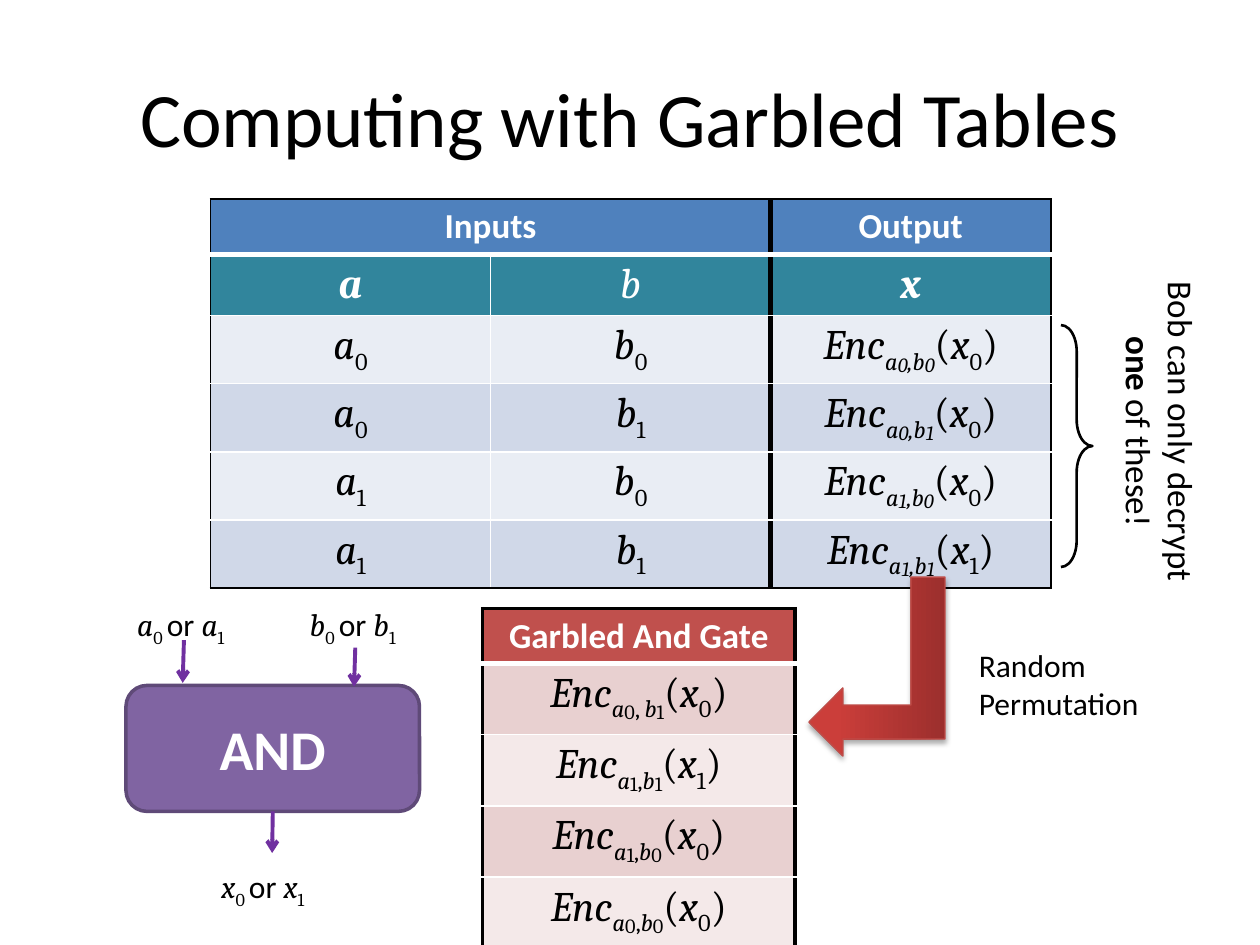
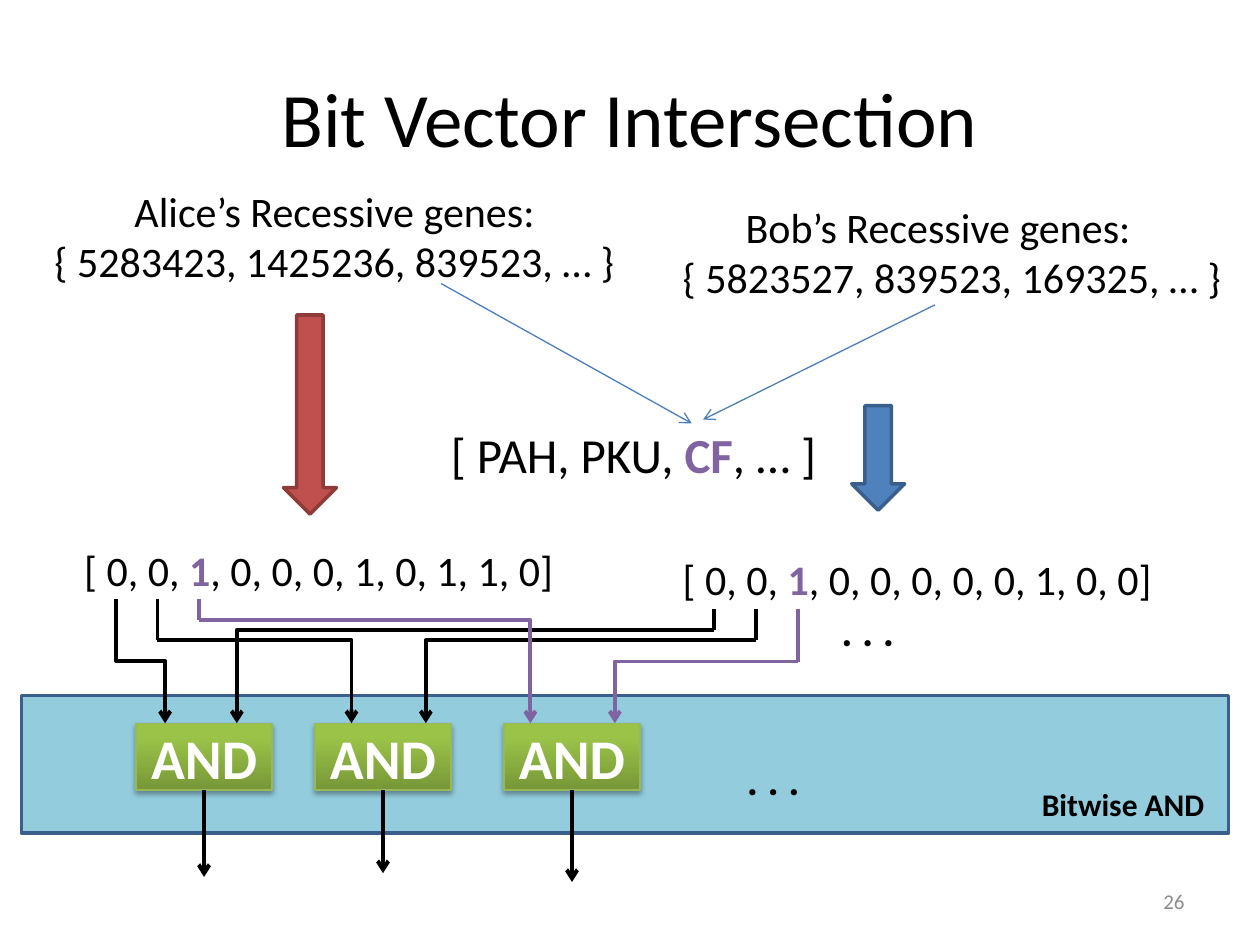
"""Build two slides on garbled tables and bit vector intersection."""
from dataclasses import dataclass
from typing import NamedTuple, Optional

from lxml.etree import SubElement
from pptx import Presentation
from pptx.dml.color import RGBColor
from pptx.enum.shapes import MSO_CONNECTOR as LINK, MSO_SHAPE as KIND
from pptx.enum.text import MSO_ANCHOR as ANCHOR, MSO_AUTO_SIZE as FIT, PP_ALIGN as ALIGN
from pptx.oxml.ns import qn
from pptx.shapes.autoshape import Shape
from pptx.shapes.connector import Connector
from pptx.slide import Slide
from pptx.table import _Cell as Cell
from pptx.text.text import TextFrame
from pptx.util import Inches, Pt


@dataclass(frozen=True)
class Theme:
    sans: str = "Calibri"
    serif: str = "Cambria"
    black: str = "000000"
    white: str = "FFFFFF"
    grey: str = "8C8C8C"
    blue: str = "4F81BD"
    blue_edge: str = "3A5F8C"
    blue_line: str = "4B7EBC"
    teal: str = "31859C"
    aqua: str = "93CDDD"
    red: str = "C0504D"
    red_edge: str = "8E3B39"
    purple: str = "8064A2"
    purple_edge: str = "5F4A78"
    violet: str = "7030A0"
    blue_rows: tuple = ("E9EDF4", "D0D8E8")
    red_rows: tuple = ("E8D0D0", "F4E9E9")
    red_glow: tuple = ("9C2F2D", "CB3E3A", "BF4C48")
    green_glow: tuple = ("779737", "9BC348", "98B955")
    title: int = 44
    gate: int = 32
    list: int = 28
    body: int = 24
    head: int = 20
    label: int = 18
    number: int = 12


THEME = Theme()


class Span(NamedTuple):
    text: str
    size: float = THEME.body
    color: str = THEME.black
    bold: bool = False
    italic: bool = False
    font: str = THEME.sans
    baseline: int = 0


class Area(NamedTuple):
    left: float
    top: float
    width: float
    height: float

    def lengths(self) -> list:
        """Give the four measures as lengths."""
        return [Inches(value) for value in self]


class Grid(NamedTuple):
    area: Area
    heights: list
    outer: float
    divider: Optional[int] = None


class Wire(NamedTuple):
    bit_x: float
    top: float
    level: float
    gate_x: float
    color: str = THEME.black


def write(frame: TextFrame, lines: list, align: ALIGN = ALIGN.LEFT) -> None:
    """Write lines of spans into a text frame."""
    for index, line in enumerate(lines):
        para = frame.paragraphs[0] if index == 0 else frame.add_paragraph()
        para.alignment = align
        for item in line:
            span = para.add_run()
            span.text = item.text
            font = span.font
            font.name, font.size = item.font, Pt(item.size)
            font.bold, font.italic = item.bold, item.italic
            font.color.rgb = RGBColor.from_string(item.color)
            if item.baseline:
                font._rPr.set("baseline", str(item.baseline * 1000))


def add_text(page: Slide, area: Area, lines: list, align: ALIGN = ALIGN.LEFT,
             wrap: bool = False, anchor: ANCHOR = ANCHOR.TOP, fit: FIT = FIT.SHAPE_TO_FIT_TEXT) -> Shape:
    """Add a text box."""
    box = page.shapes.add_textbox(*area.lengths())
    frame = box.text_frame
    frame.word_wrap, frame.auto_size, frame.vertical_anchor = wrap, fit, anchor
    write(frame, lines, align)
    return box


def add_title(page: Slide, text: str) -> None:
    """Add the slide title."""
    add_text(page, Area(0.5, 0.3, 9, 1.25), [[Span(text, THEME.title)]],
             ALIGN.CENTER, True, ANCHOR.MIDDLE, FIT.NONE)


def add_block(page: Slide, kind: KIND, area: Area, fill: Optional[str], edge: str, weight: float = 2) -> Shape:
    """Add a preset shape with a plain fill or none."""
    block = page.shapes.add_shape(kind, *area.lengths())
    block.shadow.inherit = False
    if fill:
        block.fill.solid()
        block.fill.fore_color.rgb = RGBColor.from_string(fill)
    else:
        block.fill.background()
    block.line.color.rgb = RGBColor.from_string(edge)
    block.line.width = Pt(weight)
    return block


def add_glossy(page: Slide, kind: KIND, area: Area, glow: tuple) -> Shape:
    """Add a shape with a gradient and a soft shadow."""
    dark, light, edge = glow
    block = add_block(page, kind, area, dark, edge, 0.75)
    block.fill.gradient()
    block.fill.gradient_angle = 90
    for stop, color, position in zip(block.fill.gradient_stops, (dark, light), (0, 0.8)):
        stop.color.rgb = RGBColor.from_string(color)
        stop.position = position
    effects = block._element.spPr.find(qn("a:effectLst"))
    shadow = SubElement(effects, qn("a:outerShdw"), blurRad="40000", dist="23000",
                        dir="5400000", rotWithShape="0")
    tint = SubElement(shadow, qn("a:srgbClr"), val=THEME.black)
    SubElement(tint, qn("a:alpha"), val="35000")
    return block


def label_gate(gate: Shape) -> None:
    """Name a gate AND."""
    gate.text_frame.vertical_anchor = ANCHOR.MIDDLE
    write(gate.text_frame, [[Span("AND", THEME.gate, THEME.white, True)]], ALIGN.CENTER)


def add_line(page: Slide, begin: tuple, end: tuple, color: str, weight: float = 2.25,
             arrow: bool = True, kind: LINK = LINK.STRAIGHT) -> Connector:
    """Add a connector, with an arrowhead if asked."""
    line = page.shapes.add_connector(kind, *(Inches(value) for value in begin + end))
    line.line.color.rgb = RGBColor.from_string(color)
    line.line.width = Pt(weight)
    if arrow:
        SubElement(line.line._get_or_add_ln(), qn("a:tailEnd"), type="arrow")
    SubElement(line._element.spPr, qn("a:effectLst"))
    return line


def add_step(page: Slide, begin: tuple, end: tuple) -> None:
    """Add an arrow that goes down, across and down."""
    middle_x, middle_y = (begin[0] + end[0]) / 2, (begin[1] + end[1]) / 2
    half_x, half_y = (end[0] - begin[0]) / 2, (end[1] - begin[1]) / 2
    step = add_line(page, (middle_x + half_y, middle_y - half_x),
                    (middle_x - half_y, middle_y + half_x), THEME.black, kind=LINK.ELBOW)
    step._element.spPr.find(qn("a:xfrm")).set("rot", "16200000")


def add_wire(page: Slide, wire: Wire, gate_top: float) -> None:
    """Add a stub under a bit and a corner arrow to its gate."""
    corner = (wire.bit_x, wire.level)
    add_line(page, (wire.bit_x, wire.top), corner, wire.color, arrow=False)
    bend = add_line(page, corner, (wire.gate_x, gate_top), wire.color, kind=LINK.ELBOW)
    bend._element.spPr.find(qn("a:prstGeom")).set("prst", "bentConnector2")


def set_borders(cell: Cell, edges: dict) -> None:
    """Set cell borders from a side to (colour, width) mapping."""
    properties = cell._tc.get_or_add_tcPr()
    for index, (side, (color, width)) in enumerate(edges.items()):
        border = properties.makeelement(qn(f"a:ln{side}"), {"w": str(Pt(width))})
        fill = SubElement(border, qn("a:solidFill"))
        SubElement(fill, qn("a:srgbClr"), val=color)
        properties.insert(index, border)


def add_grid(page: Slide, grid: Grid, rows: list, fills: list) -> None:
    """Add a table; a None cell joins the cell to its left."""
    row_count, column_count = len(rows), len(rows[0])
    table = page.shapes.add_table(row_count, column_count, *grid.area.lengths()).table
    table.first_row = table.horz_banding = False
    for row, height in zip(table.rows, grid.heights):
        row.height = Inches(height)
    outer, inner = (THEME.black, grid.outer), (THEME.white, 1)
    heavy, divider = (THEME.white, 3), (THEME.black, 3)

    def upright(column: int) -> tuple:
        """Choose the border on the left of a column."""
        if column in (0, column_count):
            return outer
        return divider if column == grid.divider else inner

    def level(row: int) -> tuple:
        """Choose the border on top of a row."""
        if row in (0, row_count):
            return outer
        return heavy if row == 1 else inner

    for r, row in enumerate(rows):
        for c, spans in enumerate(row):
            cell = table.cell(r, c)
            if spans is None:
                continue
            width = 2 if c + 1 < column_count and row[c + 1] is None else 1
            if width > 1:
                cell.merge(table.cell(r, c + 1))
            write(cell.text_frame, [spans], ALIGN.CENTER)
            cell.fill.solid()
            cell.fill.fore_color.rgb = RGBColor.from_string(fills[r])
            set_borders(cell, {"L": upright(c), "R": upright(c + width),
                               "T": level(r), "B": level(r + 1)})


def math(text: str, size: float = THEME.body, italic: bool = True, baseline: int = 0,
         color: str = THEME.black, bold: bool = False) -> Span:
    """Make a span in the formula font."""
    return Span(text, size, color, bold, italic, THEME.serif, baseline)


def indexed(name: str, bit: str, size: float = THEME.body) -> list:
    """Write a variable with its index."""
    return [math(name, size), math(bit, size, False, -25)]


def encryption(keys: str, output: str, slanted: bool, comma: str = ",") -> list:
    """Write the encryption of an output under two keys."""
    first, second = (math(bit, THEME.head, slanted, -36) for bit in keys)
    return [math("Enc"), math("a", baseline=-25), first, math(comma, italic=slanted, baseline=-25),
            math("b", baseline=-25), second, math("(", italic=False),
            *indexed("x", output), math(")", italic=False)]


def heading(text: str) -> list:
    """Write a table heading."""
    return [Span(text, THEME.head, THEME.white, True)]


def build_garbled_tables(page: Slide) -> None:
    """Draw the slide on garbled tables."""
    add_title(page, "Computing with Garbled Tables")
    names = [[math(name, color=THEME.white, bold=name != "b")] for name in "abx"]
    truth = [[indexed("a", a), indexed("b", b), encryption(a + b, x, True)]
             for a, b, x in ("000", "010", "100", "111")]
    add_grid(page, Grid(Area(1.67, 1.58, 6.67, 2.08), [0.22] * 2 + [0.41] * 4, 1, 2),
             [[heading("Inputs"), None, heading("Output")], names, *truth],
             [THEME.blue, THEME.teal, *THEME.blue_rows * 2])

    gate = add_block(page, KIND.ROUNDED_RECTANGLE, Area(1, 5.44, 2.33, 1), THEME.purple, THEME.purple_edge)
    label_gate(gate)
    for begin, end in (((1.46, 5.08), (1.45, 5.42)), ((2.82, 5.14), (2.81, 5.45))):
        add_line(page, begin, end, THEME.violet)
    add_line(page, (2.17, 6.44), (2.16, 6.77), THEME.violet).begin_connect(gate, 2)
    for name, left, top in (("a", 0.99, 4.75), ("b", 2.36, 4.75), ("x", 1.66, 6.83)):
        choice = [*indexed(name, "0 ", THEME.label), Span("or ", THEME.label), *indexed(name, "1", THEME.label)]
        add_text(page, Area(left, top, 0.97, 0.4), [choice])

    note = add_text(page, Area(7.89, 3.04, 2.64, 0.77),
                    [[Span("Bob can only decrypt ", THEME.head), Span("one", THEME.head, bold=True),
                      Span(" of these!", THEME.head)]], ALIGN.CENTER, True)
    note.rotation = 90
    brace = add_block(page, KIND.RIGHT_BRACE, Area(8.42, 2.58, 0.25, 1.92), None, THEME.black, 1.5)
    brace.adjustments[0] = 0.836

    shuffled = [("01", "0", ", "), ("11", "1", ","), ("10", "0", ","), ("00", "0", ",")]
    add_grid(page, Grid(Area(3.83, 4.83, 2.48, 1.86), [0.22] + [0.41] * 4, 2.25),
             [[heading("Garbled And Gate")]] + [[encryption(keys, x, False, comma)] for keys, x, comma in shuffled],
             [THEME.red, *THEME.red_rows * 2])
    add_text(page, Area(7.67, 5.08, 1.58, 0.71), [[Span("Random Permutation", THEME.label)]], wrap=True)
    turn = add_glossy(page, KIND.BENT_UP_ARROW, Area(6.25, 4.75, 1.42, 1.08), THEME.red_glow)
    turn.rotation = 90
    turn._element.spPr.find(qn("a:xfrm")).set("flipV", "1")


def build_bit_vectors(page: Slide) -> None:
    """Draw the slide on bit vector intersection."""
    add_title(page, "Bit Vector Intersection")
    add_text(page, Area(7.17, 6.95, 2.33, 0.4), [[Span("26", THEME.number, THEME.grey)]],
             ALIGN.RIGHT, True, ANCHOR.MIDDLE, FIT.NONE)
    add_text(page, Area(0.24, 1.42, 4.83, 0.91),
             [[Span("Alice’s Recessive genes:")], [Span("{ 5283423, 1425236, 839523, … }")]], ALIGN.CENTER)
    bob = add_text(page, Area(5.04, 1.55, 4.81, 0.91),
                   [[Span("Bob’s Recessive genes:")], [Span("{ 5823527, 839523, 169325, … }")]],
                   ALIGN.CENTER, True)
    bob.text_frame.paragraphs[1]._p.get_or_add_pPr().set("marL", str(Inches(0.22)))
    add_block(page, KIND.DOWN_ARROW, Area(2.25, 2.5, 0.42, 1.58), THEME.red, THEME.red_edge)
    add_block(page, KIND.DOWN_ARROW, Area(6.76, 3.22, 0.42, 0.83), THEME.blue, THEME.blue_edge)

    for area, before, marked, after, size in (
            (Area(0.57, 4.27, 3.95, 0.5), "[ 0, 0, ", "1", ", 0, 0, 0, 1, 0, 1, 1, 0]", THEME.body),
            (Area(5.32, 4.34, 3.95, 0.5), "[ 0, 0, ", "1", ", 0, 0, 0, 0, 0, 1, 0, 0]", THEME.body),
            (Area(3.48, 3.32, 3.14, 0.57), "[ PAH, PKU, ", "CF", ", … ]", THEME.list)):
        add_text(page, area, [[Span(before, size), Span(marked, size, THEME.purple, True), Span(after, size)]])
    add_line(page, (3.5, 2.25), (5.49, 3.36), THEME.blue_line, 0.75)
    add_line(page, (7.42, 2.42), (5.58, 3.33), THEME.blue_line, 0.75)

    add_block(page, KIND.RECTANGLE, Area(0.17, 5.52, 9.58, 1.09), THEME.aqua, THEME.blue_edge)
    gate_top, gate_height, gate_width = 5.74, 0.53, 1.08
    for left, output_end in ((1.08, 6.96), (2.5, 6.93), (4, 7)):
        gate = add_glossy(page, KIND.RECTANGLE, Area(left, gate_top, gate_width, gate_height), THEME.green_glow)
        label_gate(gate)
        middle = left + gate_width / 2
        add_line(page, (middle, gate_top + gate_height), (middle, output_end), THEME.black).begin_connect(gate, 2)
    alice_bits, bob_bits = ([first + 0.33 * index for index in range(3)] for first in (0.92, 5.67))
    add_step(page, (alice_bits[0], 4.75), (1.31, gate_top))
    for wire in (Wire(bob_bits[0], 4.83, 5, 1.88),
                 Wire(alice_bits[1], 4.75, 5.08, 2.79),
                 Wire(bob_bits[1], 4.83, 5.08, 3.38),
                 Wire(alice_bits[2], 4.75, 4.92, 4.21, THEME.purple),
                 Wire(bob_bits[2], 4.83, 5.25, 4.88, THEME.purple)):
        add_wire(page, wire, gate_top)
    for left, top in ((5.83, 5.93), (6.58, 4.75)):
        add_text(page, Area(left, top, 0.62, 0.5), [[Span(". . .", bold=True)]])
    add_text(page, Area(8.17, 6.18, 1.5, 0.4), [[Span("Bitwise AND", THEME.label, bold=True)]])


def main() -> None:
    """Build and save the deck."""
    deck = Presentation()
    deck.slide_width, deck.slide_height = Inches(10), Inches(7.5)
    for build in (build_garbled_tables, build_bit_vectors):
        build(deck.slides.add_slide(deck.slide_layouts[6]))
    deck.save("out.pptx")


if __name__ == "__main__":
    main()
